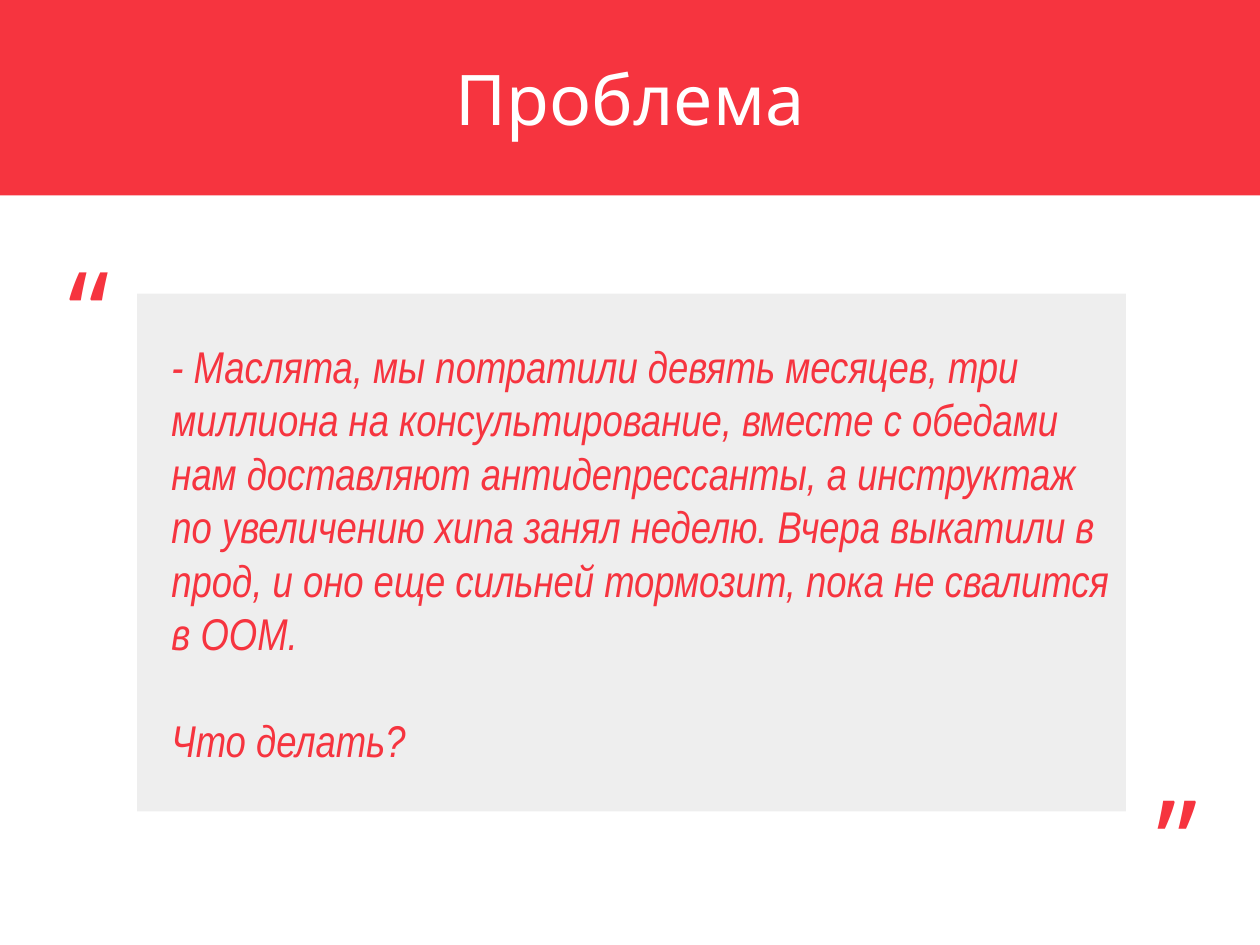
from pptx import Presentation
from pptx.dml.color import RGBColor
from pptx.enum.shapes import MSO_SHAPE
from pptx.enum.text import MSO_ANCHOR, PP_ALIGN
from pptx.util import Inches, Pt

RED = RGBColor(0xF6, 0x34, 0x3F)
GREY = RGBColor(0xEE, 0xEE, 0xEE)
WHITE = RGBColor(0xFF, 0xFF, 0xFF)

# Slide of 28 by 21 cm
prs = Presentation()
prs.slide_width, prs.slide_height = Inches(28 / 2.54), Inches(21 / 2.54)
s = prs.slides.add_slide(prs.slide_layouts[6])


def add_text(p, text, size, font="Noto Sans", color=RED, italic=False,
             align=PP_ALIGN.LEFT, indent=0, before=0):
    p.alignment = align
    p.space_before = Pt(before)
    if indent:
        pPr = p._p.get_or_add_pPr()
        pPr.set("marL", str(Inches(indent)))
        pPr.set("indent", "0")
    r = p.add_run()
    r.text = text
    r.font.size = Pt(size)
    r.font.name = font
    r.font.italic = italic
    r.font.color.rgb = color


def add_panel(left, top, width, height, fill):
    sp = s.shapes.add_shape(MSO_SHAPE.RECTANGLE, Inches(left), Inches(top),
                            Inches(width), Inches(height))
    sp.shadow.inherit = False
    sp.fill.solid()
    sp.fill.fore_color.rgb = fill
    sp.line.fill.background()
    tf = sp.text_frame
    tf.word_wrap = True
    tf.vertical_anchor = MSO_ANCHOR.MIDDLE
    tf.margin_left = tf.margin_right = tf.margin_top = tf.margin_bottom = 0
    return tf


# Title band
tf = add_panel(0, 0, 28 / 2.54, 1.71, RED)
add_text(tf.paragraphs[0], "Проблема", 44, color=WHITE, align=PP_ALIGN.CENTER)

# Quotation panel
tf = add_panel(1.2, 2.57, 8.65, 4.53, GREY)
tf.margin_right = Inches(0.05)
quote = dict(size=28, font="Arial Narrow", italic=True, indent=0.3)
add_text(tf.paragraphs[0],
         "- Маслята, мы потратили девять месяцев, три миллиона на "
         "консультирование, вместе с обедами нам доставляют антидепрессанты, "
         "а инструктаж по увеличению хипа занял неделю. Вчера выкатили в прод, "
         "и оно еще сильней тормозит, пока не свалится в ООМ.", **quote)
add_text(tf.add_paragraph(), "Что делать?", before=33.6, **quote)

# Quotation marks
for mark, left, top, width in [("“", 0.5, 2.05, 2.3), ("„", 10, 6.08, 0.7)]:
    tf = s.shapes.add_textbox(Inches(left), Inches(top),
                              Inches(width), Inches(1.46)).text_frame
    tf.word_wrap = True
    add_text(tf.paragraphs[0], mark, 72)

prs.save("out.pptx")
